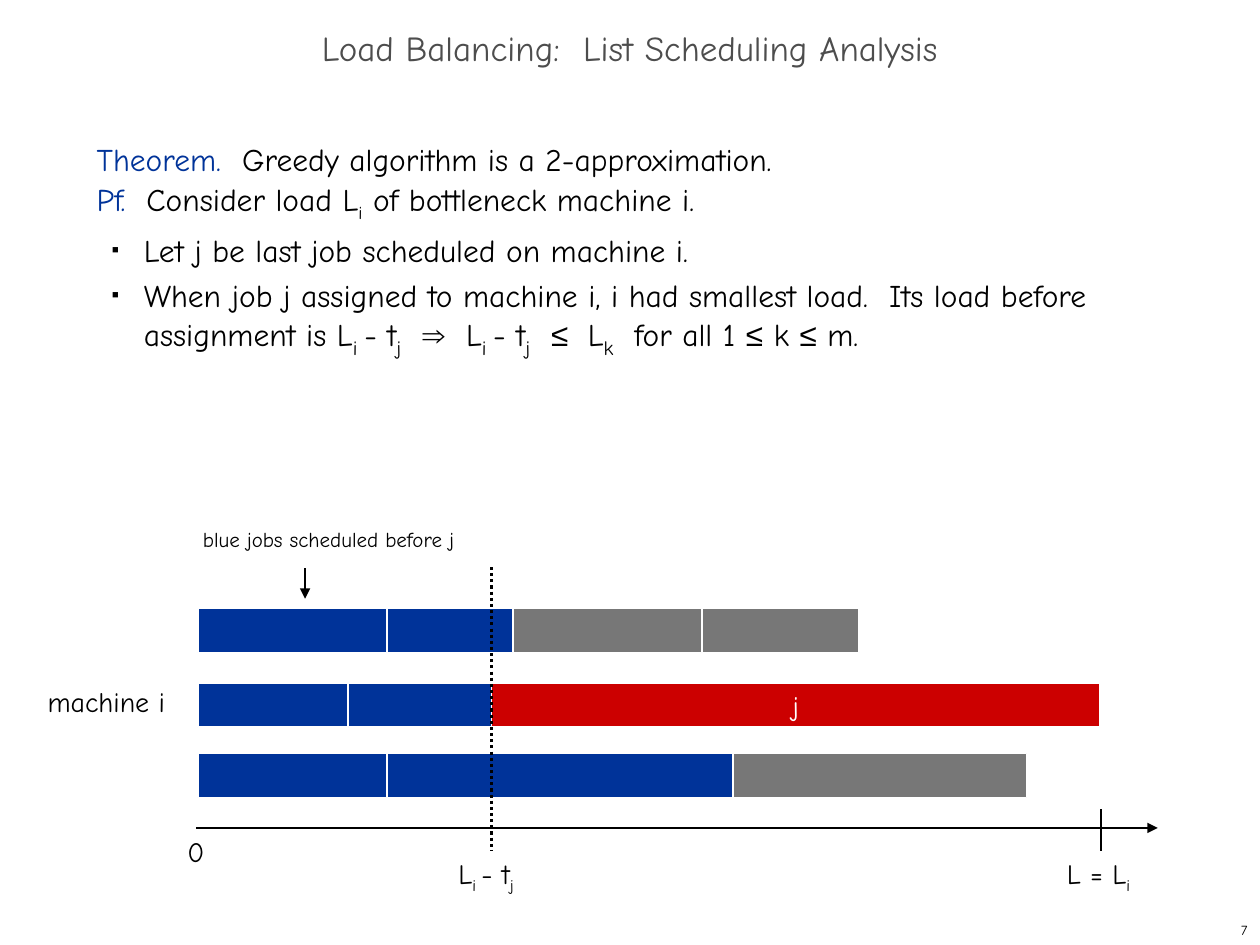
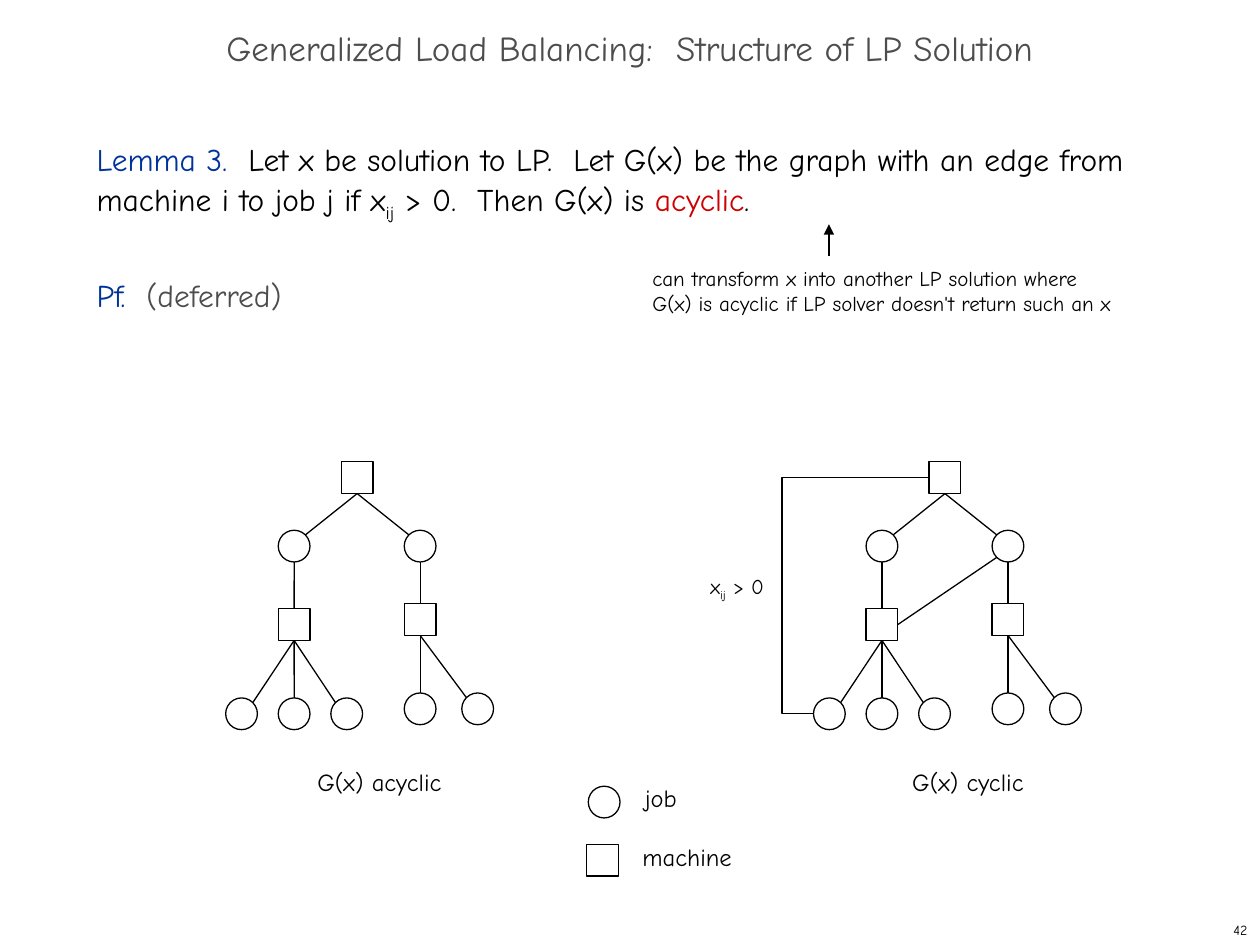
from dataclasses import dataclass
from itertools import pairwise

from pptx import Presentation
from pptx.dml.color import RGBColor
from pptx.enum.dml import MSO_LINE
from pptx.enum.shapes import MSO_CONNECTOR, MSO_SHAPE
from pptx.enum.text import MSO_ANCHOR, PP_ALIGN
from pptx.oxml.ns import qn
from pptx.util import Cm, Pt
from lxml.etree import SubElement

BLACK = RGBColor(0x00, 0x00, 0x00)
WHITE = RGBColor(0xFF, 0xFF, 0xFF)
BLUE = RGBColor(0x00, 0x33, 0x99)
RED = RGBColor(0xCC, 0x00, 0x00)
GRAY = RGBColor(0x77, 0x77, 0x77)
DARK_GRAY = RGBColor(0x4D, 0x4D, 0x4D)
FONT = "Comic Neue"
SYMBOL_FONT = "Arial"

NODE_SIZE = 0.64
DIAGONAL = NODE_SIZE / 2 * 0.71
TOP, LEFT, BOTTOM, RIGHT = range(4)
BAR_HEIGHT = 0.89


@dataclass
class Part:
    """A stretch of text with one look; size None means the size of its box."""
    text: str
    color: RGBColor = BLACK
    size: float = None
    font: str = FONT
    subscript: bool = False


def sub(text, size=None):
    return Part(text, size=size, subscript=True)


def symbol(text):
    return Part(text, font=SYMBOL_FONT)


def write(paragraph, parts, size):
    for part in parts:
        run = paragraph.add_run()
        run.text = part.text
        run.font.name = part.font
        run.font.size = Pt(part.size or size)
        run.font.color.rgb = part.color
        if part.subscript:
            run._r.get_or_add_rPr().set("baseline", "-25000")


def add_text(slide, left, top, width, height, paragraphs, size, wrap=False,
             align=PP_ALIGN.LEFT, anchor=MSO_ANCHOR.TOP):
    frame = slide.shapes.add_textbox(
        Cm(left), Cm(top), Cm(width), Cm(height)).text_frame
    frame.word_wrap = wrap
    frame.vertical_anchor = anchor
    for index, parts in enumerate(paragraphs):
        paragraph = frame.add_paragraph() if index else frame.paragraphs[0]
        paragraph.alignment = align
        write(paragraph, parts, size)
    return frame.paragraphs


def add_label(slide, left, top, width, text, size):
    add_text(slide, left, top, width, 0.84, [[Part(text)]], size)


def add_title(slide, text):
    title, = add_text(slide, 0, 0.43, 25.4, 1.27, [[Part(text, DARK_GRAY)]], 20,
                      True, PP_ALIGN.CENTER, MSO_ANCHOR.MIDDLE)
    title.line_spacing = 0.7


def add_page_number(slide, number):
    add_text(slide, 20.12, 18.42, 5.28, 0.64, [[Part(str(number))]], 8,
             True, PP_ALIGN.RIGHT, MSO_ANCHOR.MIDDLE)


def add_body(slide, width, paragraphs):
    lines = add_text(slide, 1.7, 2.54, width, 15.04, paragraphs, 18, True)
    for line in lines:
        line.line_spacing = Pt(26)
    return lines


def add_bullet(paragraph):
    properties = paragraph._p.get_or_add_pPr()
    properties.set("marL", str(Cm(0.95)))
    properties.set("indent", str(Cm(-0.64)))
    color = SubElement(properties, qn("a:buClr"))
    SubElement(color, qn("a:srgbClr"), val=str(BLACK))
    SubElement(properties, qn("a:buSzPct"), val="35000")
    SubElement(properties, qn("a:buFont"), typeface=SYMBOL_FONT)
    SubElement(properties, qn("a:buChar"), char="■")


def add_line(slide, start, end, width=0.75, arrow=False, dash=None,
             kind=MSO_CONNECTOR.STRAIGHT):
    line = slide.shapes.add_connector(kind, *map(Cm, start + end))
    line.line.color.rgb = BLACK
    line.line.width = Pt(width)
    if dash:
        line.line.dash_style = dash
    properties = line._element.spPr
    if arrow:
        SubElement(properties.find(qn("a:ln")), qn("a:tailEnd"), type="triangle")
    SubElement(properties, qn("a:effectLst"))
    return line


def add_job_bar(slide, start, end, top, color):
    bar = slide.shapes.add_shape(
        MSO_SHAPE.RECTANGLE, Cm(start), Cm(top), Cm(end - start), Cm(BAR_HEIGHT))
    bar.shadow.inherit = False
    bar.fill.solid()
    bar.fill.fore_color.rgb = color
    bar.line.color.rgb = WHITE
    bar.line.width = Pt(0.75)
    if color == RED:
        frame = bar.text_frame
        frame.word_wrap = False
        frame.vertical_anchor = MSO_ANCHOR.MIDDLE
        frame.paragraphs[0].alignment = PP_ALIGN.CENTER
        write(frame.paragraphs[0], [Part("j", WHITE)], 16)


def add_node(slide, kind, center):
    x, y = center
    node = slide.shapes.add_shape(
        kind, Cm(x - NODE_SIZE / 2), Cm(y - NODE_SIZE / 2),
        Cm(NODE_SIZE), Cm(NODE_SIZE))
    node.shadow.inherit = False
    node.fill.background()
    node.line.color.rgb = BLACK
    node.line.width = Pt(0.75)
    return node


def add_job(slide, center):
    return add_node(slide, MSO_SHAPE.OVAL, center)


def add_machine(slide, center):
    return add_node(slide, MSO_SHAPE.RECTANGLE, center)


def link_to_job(slide, machine, machine_center, job_center):
    """Join the bottom of a machine to the nearest point on top of a job."""
    (x, y), (job_x, job_y) = machine_center, job_center
    if x == job_x:
        end = (job_x, job_y - NODE_SIZE / 2)
    else:
        side = 1 if x > job_x else -1
        end = (job_x + side * DIAGONAL, job_y - DIAGONAL)
    add_line(slide, (x, y + NODE_SIZE / 2), end).begin_connect(machine, BOTTOM)


def add_graph(slide, left, cyclic=False):
    root_center = (left + 2.33, 9.63)
    root = add_machine(slide, root_center)
    branches = [  # job x, machine y, leaf y, leaf xs
        (1.06, 12.59, 14.39, (0, 1.06, 2.12)),
        (3.6, 12.49, 14.29, (3.6, 4.76)),
    ]
    machines = []
    for job_x, machine_y, leaf_y, leaf_xs in branches:
        job_center = (left + job_x, 11.01)
        machine_center = (left + job_x, machine_y)
        add_job(slide, job_center)
        link_to_job(slide, root, root_center, job_center)
        machine = add_machine(slide, machine_center)
        machines.append(machine)
        add_line(slide, (left + job_x, 11.01 + NODE_SIZE / 2),
                 (left + job_x, machine_y - NODE_SIZE / 2)
                 ).end_connect(machine, TOP)
        for leaf_x in leaf_xs:
            leaf_center = (left + leaf_x, leaf_y)
            add_job(slide, leaf_center)
            link_to_job(slide, machine, machine_center, leaf_center)
    if cyclic:
        add_line(slide, (left + 3.6 - DIAGONAL, 11.01 + DIAGONAL),
                 (left + 1.06 + NODE_SIZE / 2, 12.59)
                 ).end_connect(machines[0], RIGHT)
        closing_edge = add_line(
            slide, (left - NODE_SIZE / 2, 14.39),
            (root_center[0] - NODE_SIZE / 2, root_center[1]),
            kind=MSO_CONNECTOR.ELBOW)
        bends = closing_edge._element.spPr.find(qn("a:prstGeom")).get_or_add_avLst()
        SubElement(bends, qn("a:gd"), name="adj1", fmla="val -27300")


def build_list_scheduling(slide):
    add_title(slide, "Load Balancing:  List Scheduling Analysis")
    lines = add_body(slide, 21.79, [
        [Part("Theorem.  ", BLUE), Part("Greedy algorithm is a 2-approximation.")],
        [Part("Pf.  ", BLUE), Part("Consider load L"), sub("i"),
         Part(" of bottleneck machine i.")],
        [Part("Let j be last job scheduled on machine i.")],
        [Part("When job j assigned to machine i, i had smallest load.  "
              "Its load before assignment is L"), sub("i ", 20),
         Part("- t"), sub("j", 20), Part("  "), symbol("⇒"),
         Part("  L"), sub("i ", 20), Part("- t"), sub("j", 20), Part("  "),
         symbol("≤ "), Part(" L"), sub("k", 20), Part("  for all 1 "),
         symbol("≤"), Part(" k "), symbol("≤"), Part(" m.")],
    ])
    for line in lines[2:]:
        add_bullet(line)

    schedule = [  # top, boundaries between jobs, job colours
        (12.27, (3.99, 7.8, 10.34, 14.15, 17.32), (BLUE, BLUE, GRAY, GRAY)),
        (13.77, (3.99, 7.02, 9.91, 22.17), (BLUE, BLUE, RED)),
        (15.19, (3.99, 7.8, 14.78, 20.7), (BLUE, BLUE, GRAY)),
    ]
    for top, boundaries, colors in schedule:
        for (start, end), color in zip(pairwise(boundaries), colors):
            add_job_bar(slide, start, end, top, color)

    add_line(slide, (3.96, 16.69), (23.34, 16.69), 1.25, arrow=True)
    add_line(slide, (22.2, 16.31), (22.2, 17.15), 1.25)
    add_line(slide, (9.91, 11.43), (9.91, 17.15), 1.75, dash=MSO_LINE.ROUND_DOT)
    add_line(slide, (6.15, 11.46), (6.15, 12.07), arrow=True)
    add_label(slide, 3.53, 16.69, 1.35, "0", 16)
    add_label(slide, 0.71, 13.67, 2.87, "machine i", 16)
    add_label(slide, 3.84, 10.49, 5.61, "blue jobs scheduled before j", 12)
    add_text(slide, 21.26, 17.15, 2.84, 1.02, [[Part("L = L"), sub("i")]], 16, True)
    add_text(slide, 8.99, 17.15, 2.84, 1.02,
             [[Part("L"), sub("i "), Part("- t"), sub("j")]], 16, True)
    add_page_number(slide, 7)


def build_lp_structure(slide):
    add_title(slide, "Generalized Load Balancing:  Structure of LP Solution")
    lines = add_body(slide, 22.43, [
        [Part("Lemma 3.  ", BLUE),
         Part("Let x be solution to LP.  Let G(x) be the graph with an edge "
              "from machine i to job j if x"), sub("ij"),
         Part(" > 0.  Then G(x) is "), Part("acyclic", RED), Part(".")],
        [Part("Pf.  ", BLUE), Part("(deferred)", DARK_GRAY)],
    ])
    lines[1].space_before = Pt(26)

    add_text(slide, 12.9, 5.23, 9.78, 1.27, [
        [Part("can transform x into another LP solution where")],
        [Part("G(x) is acyclic if LP solver doesn't return such an x")],
    ], 12)
    add_line(slide, (16.71, 5.16), (16.71, 4.52), arrow=True)

    add_graph(slide, 4.87)
    add_label(slide, 6.15, 15.34, 3.02, "G(x) acyclic", 14)
    add_graph(slide, 16.72, cyclic=True)
    add_label(slide, 18.14, 15.34, 2.77, "G(x) cyclic", 14)
    add_text(slide, 14.07, 11.43, 1.6, 0.84,
             [[Part("x"), sub("ij"), Part(" > 0")]], 12)

    add_job(slide, (12.18, 16.17))
    add_label(slide, 12.75, 15.67, 1.17, "job", 14)
    add_machine(slide, (12.15, 17.34))
    add_label(slide, 12.7, 16.84, 2.31, "machine", 14)
    add_page_number(slide, 42)


def main():
    deck = Presentation()
    deck.slide_width, deck.slide_height = Cm(25.4), Cm(19.05)
    blank = deck.slide_layouts[6]
    for build in (build_list_scheduling, build_lp_structure):
        build(deck.slides.add_slide(blank))
    deck.save("out.pptx")


if __name__ == "__main__":
    main()
